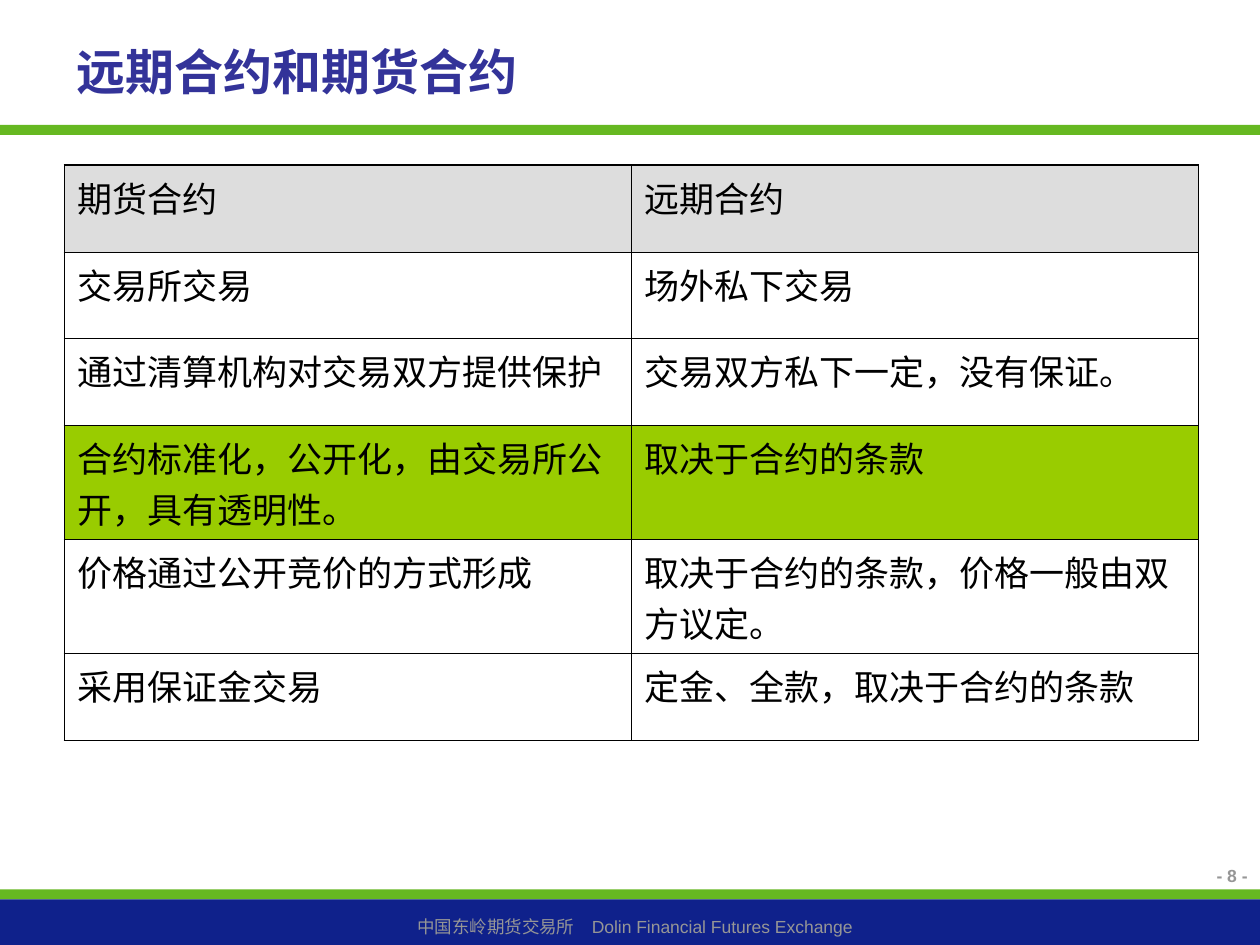
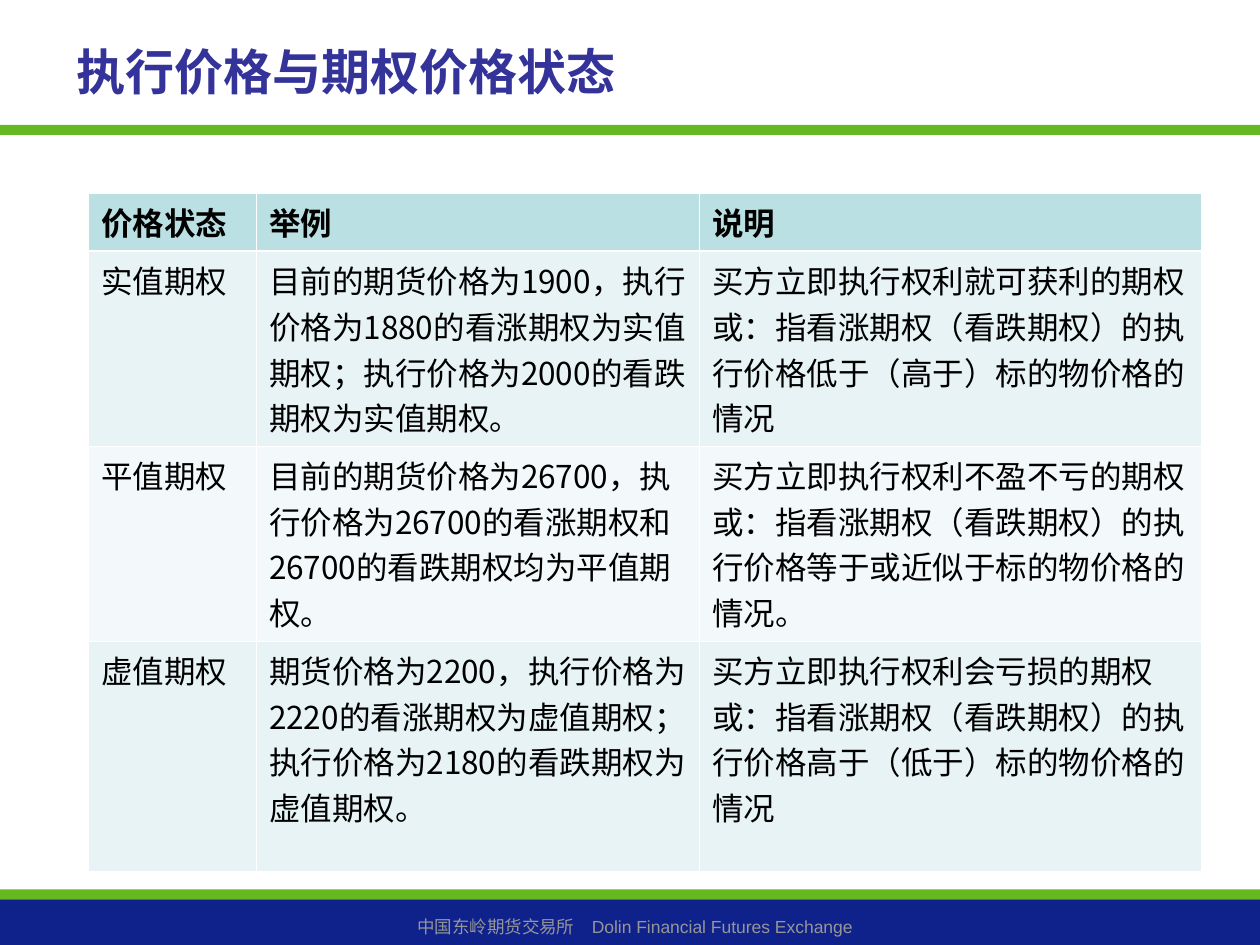
from dataclasses import dataclass

from lxml.etree import SubElement
from pptx import Presentation
from pptx.dml.color import RGBColor
from pptx.enum.lang import MSO_LANGUAGE_ID as Language
from pptx.enum.shapes import MSO_SHAPE as Shape
from pptx.enum.text import MSO_ANCHOR as Anchor, PP_ALIGN as Align
from pptx.oxml.ns import qn
from pptx.util import Cm, Pt


@dataclass(frozen=True)
class Theme:
    # Colours
    green: str = "66B821"
    navy: str = "0F218B"
    title: str = "333399"
    muted: str = "969696"
    black: str = "000000"
    white: str = "FFFFFF"
    grey: str = "DDDDDD"
    highlight: str = "99CC00"
    header: str = "BBE0E3"
    band_dark: str = "E7F3F4"
    band_light: str = "F3F9FA"
    # Fonts and sizes
    latin: str = "Arial"
    chinese: str = "Noto Sans CJK SC"
    title_size: int = 28
    contract_size: int = 20
    option_size: int = 18
    small_size: int = 10


@dataclass(frozen=True)
class Borders:
    colour: str
    inner: float
    outer: float
    under_header: float


class Deck:
    WIDTH, HEIGHT = 25.4, 19.05

    def __init__(self, theme):
        self.theme = theme
        self.presentation = Presentation()
        self.presentation.slide_width = Cm(self.WIDTH)
        self.presentation.slide_height = Cm(self.HEIGHT)
        self.slide = None

    def add_slide(self, title, number=None):
        """Start a slide with the shared bands, footer and title."""
        theme = self.theme
        self.slide = self.presentation.slides.add_slide(
            self.presentation.slide_layouts[6])
        self.band(17.93, 0.2, theme.green)
        self.band(2.52, 0.2, theme.green)
        self.band(18.13, 0.92, theme.navy)
        self.text("中国东岭期货交易所　Dolin Financial Futures Exchange",
                  (0.2, 18.34, 25.2, 0.69), theme.small_size, theme.muted,
                  align=Align.CENTER)
        if number is not None:
            self.text(f"- {number} -", (20.4, 17.32, 5, 0.91),
                      theme.small_size, theme.muted, bold=True,
                      align=Align.RIGHT)
        self.text(title, (1.3, 0.53, 17.6, 1.8), theme.title_size,
                  theme.title, bold=True, anchor=Anchor.MIDDLE)

    def band(self, top, height, colour):
        band = self.slide.shapes.add_shape(
            Shape.RECTANGLE, 0, Cm(top), Cm(self.WIDTH), Cm(height))
        band.shadow.inherit = False
        band.fill.solid()
        band.fill.fore_color.rgb = RGBColor.from_string(colour)
        band.line.fill.background()

    def style(self, text_frame, size, colour, bold=False, latin=None,
              align=Align.LEFT):
        for paragraph in text_frame.paragraphs:
            paragraph.alignment = align
            font = paragraph.font
            font.size = Pt(size)
            font.bold = bold
            font.name = latin or self.theme.latin
            font.color.rgb = RGBColor.from_string(colour)
            font.language_id = Language.SIMPLIFIED_CHINESE
            properties = paragraph._p.pPr.find(qn("a:defRPr"))
            SubElement(properties, qn("a:ea"), typeface=self.theme.chinese)

    def text(self, words, box, size, colour, bold=False, align=Align.LEFT,
             anchor=Anchor.TOP):
        text_box = self.slide.shapes.add_textbox(*map(Cm, box))
        frame = text_box.text_frame
        frame.word_wrap = True
        frame.vertical_anchor = anchor
        frame.text = words
        self.style(frame, size, colour, bold, align=align)

    def table(self, rows, position, widths, heights, fills, borders, size,
              latin, bold_header=False):
        """Draw a table with one fill per row and ruled borders."""
        left, top = position
        table = self.slide.shapes.add_table(
            len(rows), len(widths), Cm(left), Cm(top),
            Cm(sum(widths)), Cm(sum(heights))).table
        table.first_row = table.horz_banding = False
        for column, width in zip(table.columns, widths):
            column.width = Cm(width)
        for row, height in zip(table.rows, heights):
            row.height = Cm(height)

        last_row, last_column = len(rows) - 1, len(widths) - 1
        for r, (row, fill) in enumerate(zip(rows, fills)):
            for c, words in enumerate(row):
                cell = table.cell(r, c)
                cell.text = words
                self.style(cell.text_frame, size, self.theme.black,
                           bold_header and r == 0, latin)
                self.cell_borders(cell, borders.colour, {
                    "L": borders.outer if c == 0 else borders.inner,
                    "R": borders.outer if c == last_column else borders.inner,
                    "T": self.rule_width(borders, r, last_row),
                    "B": self.rule_width(borders, r + 1, last_row)})
                cell.fill.solid()
                cell.fill.fore_color.rgb = RGBColor.from_string(fill)

    @staticmethod
    def rule_width(borders, index, last_row):
        """Width of the horizontal rule above the row with this index."""
        if index in (0, last_row + 1):
            return borders.outer
        return borders.under_header if index == 1 else borders.inner

    @staticmethod
    def cell_borders(cell, colour, widths):
        properties = cell._tc.get_or_add_tcPr()
        for side, width in widths.items():
            line = SubElement(properties, qn(f"a:ln{side}"), w=str(Pt(width)))
            fill = SubElement(line, qn("a:solidFill"))
            SubElement(fill, qn("a:srgbClr"), val=colour)


def main():
    theme = Theme()
    deck = Deck(theme)

    # Futures and forward contracts
    deck.add_slide("远期合约和期货合约", number=8)
    contracts = [
        ("期货合约", "远期合约"),
        ("交易所交易", "场外私下交易"),
        ("通过清算机构对交易双方提供保护", "交易双方私下一定，没有保证。"),
        ("合约标准化，公开化，由交易所公开，具有透明性。", "取决于合约的条款"),
        ("价格通过公开竞价的方式形成",
         "取决于合约的条款，价格一般由双方议定。"),
        ("采用保证金交易", "定金、全款，取决于合约的条款"),
    ]
    deck.table(
        contracts, (1.3, 3.33), [11.43] * 2,
        heights=[1.75, 1.75, 1.75, 2.3, 2.3, 1.75],
        fills=[theme.grey, theme.white, theme.white, theme.highlight,
               theme.white, theme.white],
        borders=Borders(theme.black, inner=0.45, outer=1.08,
                        under_header=0.45),
        size=theme.contract_size, latin=theme.latin)

    # Strike price and option states
    deck.add_slide("执行价格与期权价格状态")
    option_states = [
        ("价格状态", "举例", "说明"),
        ("实值期权",
         "目前的期货价格为1900，执行价格为1880的看涨期权为实值期权；"
         "执行价格为2000的看跌期权为实值期权。",
         "买方立即执行权利就可获利的期权\n"
         "或：指看涨期权（看跌期权）的执行价格低于（高于）标的物价格的情况"),
        ("平值期权",
         "目前的期货价格为26700，执行价格为26700的看涨期权和"
         "26700的看跌期权均为平值期权。",
         "买方立即执行权利不盈不亏的期权\n"
         "或：指看涨期权（看跌期权）的执行价格等于或近似于标的物价格的情况。"),
        ("虚值期权",
         "期货价格为2200，执行价格为2220的看涨期权为虚值期权；"
         "执行价格为2180的看跌期权为虚值期权。",
         "买方立即执行权利会亏损的期权\n"
         "或：指看涨期权（看跌期权）的执行价格高于（低于）标的物价格的情况"),
    ]
    deck.table(
        option_states, (1.79, 3.89), [3.38, 8.93, 10.12],
        heights=[1.17, 3.93, 3.93, 4.65],
        fills=[theme.header, theme.band_dark, theme.band_light,
               theme.band_dark],
        borders=Borders(theme.white, inner=0.45, outer=0.45,
                        under_header=1.47),
        size=theme.option_size, latin=theme.chinese, bold_header=True)

    deck.presentation.save("out.pptx")


if __name__ == "__main__":
    main()
